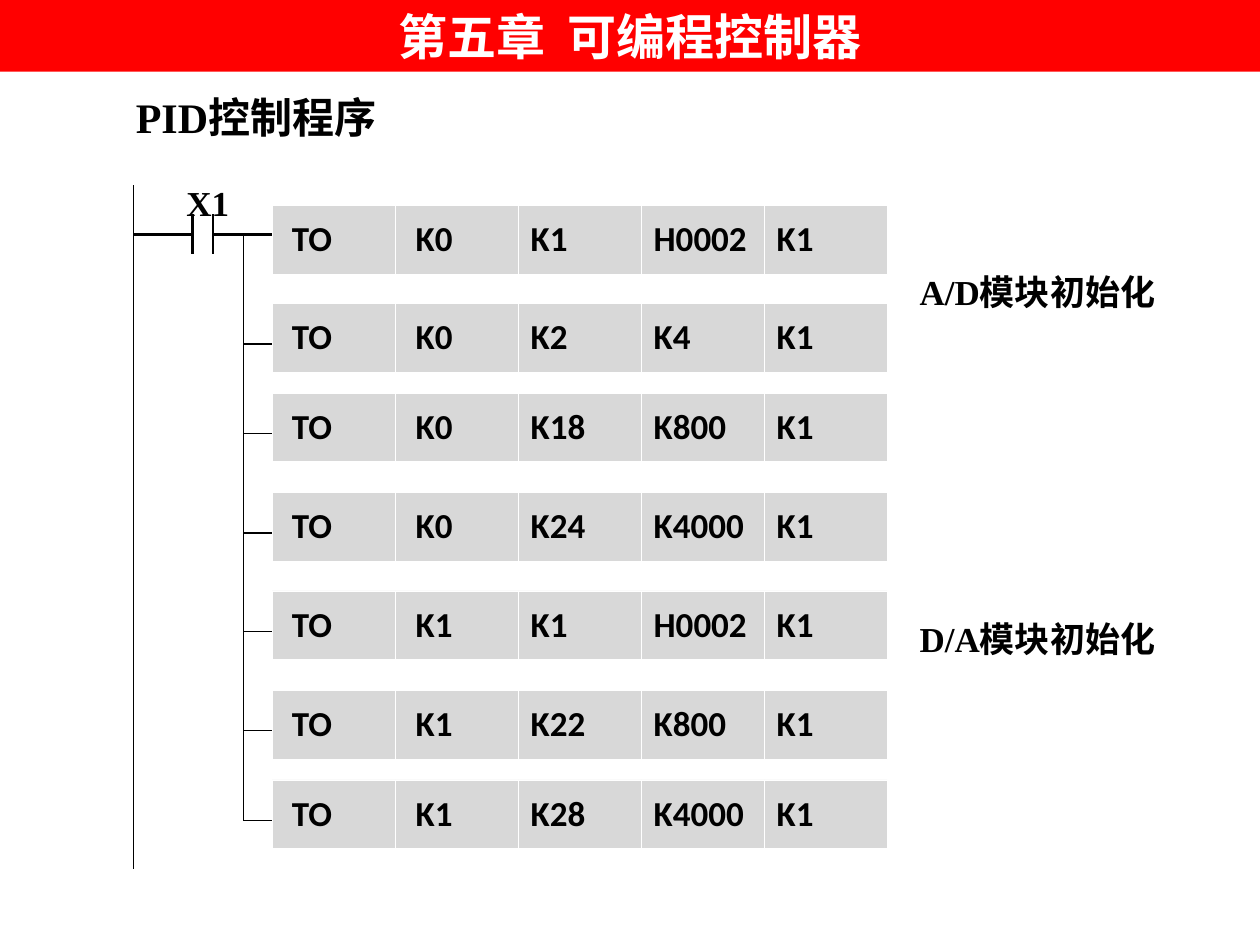
"""Build the PID control program slide: a ladder diagram of TO instructions."""
from dataclasses import dataclass

from lxml import etree
from pptx import Presentation, util as u
from pptx.dml.color import RGBColor
from pptx.enum import shapes, text
from pptx.oxml.ns import qn


@dataclass(frozen=True)
class Theme:
    serif: str = "Times New Roman"
    sans: str = "Calibri"
    black: str = "000000"
    white: str = "FFFFFF"
    red: str = "FF0000"
    gray: str = "B2B2B2"
    gray_alpha: int = 50
    banner_size: int = 28
    heading_size: int = 24
    label_size: int = 20
    lead_size: int = 18
    thin: float = 0.75
    thick: float = 1.5
    border: float = 0.45


@dataclass(frozen=True)
class Label:
    words: str
    column: float
    row: float
    columns: float
    rows: float
    size: int


@dataclass(frozen=True)
class Wire:
    start: tuple[float, float]
    end: tuple[float, float]
    weight: float


@dataclass(frozen=True)
class Instruction:
    row: float
    operands: tuple[str, str, str, str]


THEME = Theme()
SLIDE_WIDTH, SLIDE_HEIGHT = u.Inches(10), u.Inches(7.5)
GRID_COLUMNS, GRID_ROWS = 100, 75
RAIL, TRUNK, TABLE_LEFT = 10.6, 19.3, 21.6
CONTACT_LEFT, CONTACT_RIGHT = 15.3, 16.9
MAIN_ROW, BRANCH_DROP = 18.6, 3.2
CELL_COLUMNS, CELL_ROWS = 9.76, 5.45

INSTRUCTIONS = (
    Instruction(16.3, ("K0", "K1", "H0002", "K1")),
    Instruction(24.1, ("K0", "K2", "K4", "K1")),
    Instruction(31.2, ("K0", "K18", "K800", "K1")),
    Instruction(39.1, ("K0", "K24", "K4000", "K1")),
    Instruction(46.9, ("K1", "K1", "H0002", "K1")),
    Instruction(54.8, ("K1", "K22", "K800", "K1")),
    Instruction(61.9, ("K1", "K28", "K4000", "K1")),
)
LABELS = (
    Label("X1", 13.8, 13.9, 7.9, 4.4, THEME.label_size),
    Label("A/D模块初始化", 72, 21, 25.3, 4.4, THEME.label_size),
    Label("D/A模块初始化", 72, 48.5, 25.3, 4.4, THEME.label_size),
    Label("PID控制程序", 9.8, 6.8, 26, 5, THEME.heading_size),
)
BRANCH_ROWS = [instruction.row + BRANCH_DROP for instruction in INSTRUCTIONS[1:]]
WIRES = (
    Wire((RAIL, 14.7), (RAIL, 69), THEME.thin),
    Wire((RAIL, MAIN_ROW), (CONTACT_LEFT, MAIN_ROW), THEME.thick),
    Wire((CONTACT_RIGHT, MAIN_ROW), (TABLE_LEFT, MAIN_ROW), THEME.thick),
    *(Wire((column, 17), (column, 20.2), THEME.thick) for column in (CONTACT_LEFT, CONTACT_RIGHT)),
    Wire((TRUNK, MAIN_ROW), (TRUNK, BRANCH_ROWS[-1]), THEME.thin),
    *(Wire((TABLE_LEFT, row), (TRUNK, row), THEME.thin) for row in BRANCH_ROWS),
)


def across(columns: float) -> int:
    """Turn grid columns into a length."""
    return round(SLIDE_WIDTH * columns / GRID_COLUMNS)


def down(rows: float) -> int:
    """Turn grid rows into a length."""
    return round(SLIDE_HEIGHT * rows / GRID_ROWS)


def add_run(paragraph, words: str, font: str, size: int, color: str) -> None:
    """Add one bold run to a paragraph."""
    run = paragraph.add_run()
    run.text = words
    run.font.name = font
    run.font.size = u.Pt(size)
    run.font.bold = True
    run.font.color.rgb = RGBColor.from_string(color)


def draw_banner(slide, words: str) -> None:
    """Draw the chapter banner across the top."""
    banner = slide.shapes.add_shape(shapes.MSO_SHAPE.RECTANGLE, 0, 0, SLIDE_WIDTH, down(5.7))
    banner.shadow.inherit = False
    banner.fill.solid()
    banner.fill.fore_color.rgb = RGBColor.from_string(THEME.red)
    banner.line.fill.background()
    banner.text_frame.word_wrap = True
    banner.text_frame.vertical_anchor = text.MSO_ANCHOR.MIDDLE
    paragraph = banner.text_frame.paragraphs[0]
    paragraph.alignment = text.PP_ALIGN.CENTER
    add_run(paragraph, words, THEME.serif, THEME.banner_size, THEME.white)


def draw_label(slide, label: Label) -> None:
    """Draw one text label."""
    box = slide.shapes.add_textbox(
        across(label.column), down(label.row), across(label.columns), down(label.rows))
    box.text_frame.word_wrap = True
    add_run(box.text_frame.paragraphs[0], label.words, THEME.serif, label.size, THEME.black)


def draw_wire(slide, wire: Wire) -> None:
    """Draw one straight wire of the ladder."""
    (left, top), (right, bottom) = wire.start, wire.end
    line = slide.shapes.add_connector(
        shapes.MSO_CONNECTOR.STRAIGHT, across(left), down(top), across(right), down(bottom))
    line.line.color.rgb = RGBColor.from_string(THEME.black)
    line.line.width = u.Pt(wire.weight)
    etree.SubElement(line._element.spPr, qn("a:effectLst"))


def style_cell(cell) -> None:
    """Give a cell its translucent fill and thin borders."""
    cell.vertical_anchor = text.MSO_ANCHOR.MIDDLE
    cell.fill.solid()
    cell.fill.fore_color.rgb = RGBColor.from_string(THEME.gray)
    properties = cell._tc.get_or_add_tcPr()
    fill_color = properties.find(f"{qn('a:solidFill')}/{qn('a:srgbClr')}")
    etree.SubElement(fill_color, qn("a:alpha"), val=str(THEME.gray_alpha * 1000))
    for index, side in enumerate(("lnL", "lnR", "lnT", "lnB")):
        border = etree.Element(qn(f"a:{side}"), w=str(u.Pt(THEME.border)))
        border_fill = etree.SubElement(border, qn("a:solidFill"))
        etree.SubElement(border_fill, qn("a:srgbClr"), val=THEME.white)
        properties.insert(index, border)


def draw_instruction(slide, instruction: Instruction) -> None:
    """Draw one TO instruction as a single-row table."""
    words = ("TO", f" {instruction.operands[0]}", *instruction.operands[1:])
    table = slide.shapes.add_table(
        1, len(words), across(TABLE_LEFT), down(instruction.row),
        across(CELL_COLUMNS * len(words)), down(CELL_ROWS)).table
    table.first_row = False
    table.horz_banding = False
    for index, word in enumerate(words):
        table.columns[index].width = across(CELL_COLUMNS)
        cell = table.cell(0, index)
        style_cell(cell)
        paragraph = cell.text_frame.paragraphs[0]
        if index == 0:
            add_run(paragraph, " ", THEME.sans, THEME.lead_size, THEME.black)
        add_run(paragraph, word, THEME.sans, THEME.label_size, THEME.black)


def main() -> None:
    """Build and save the slide."""
    presentation = Presentation()
    presentation.slide_width, presentation.slide_height = SLIDE_WIDTH, SLIDE_HEIGHT
    slide = presentation.slides.add_slide(presentation.slide_layouts[6])
    draw_banner(slide, "第五章  可编程控制器")
    for wire in WIRES:
        draw_wire(slide, wire)
    for instruction in INSTRUCTIONS:
        draw_instruction(slide, instruction)
    for label in LABELS:
        draw_label(slide, label)
    presentation.save("out.pptx")


if __name__ == "__main__":
    main()
